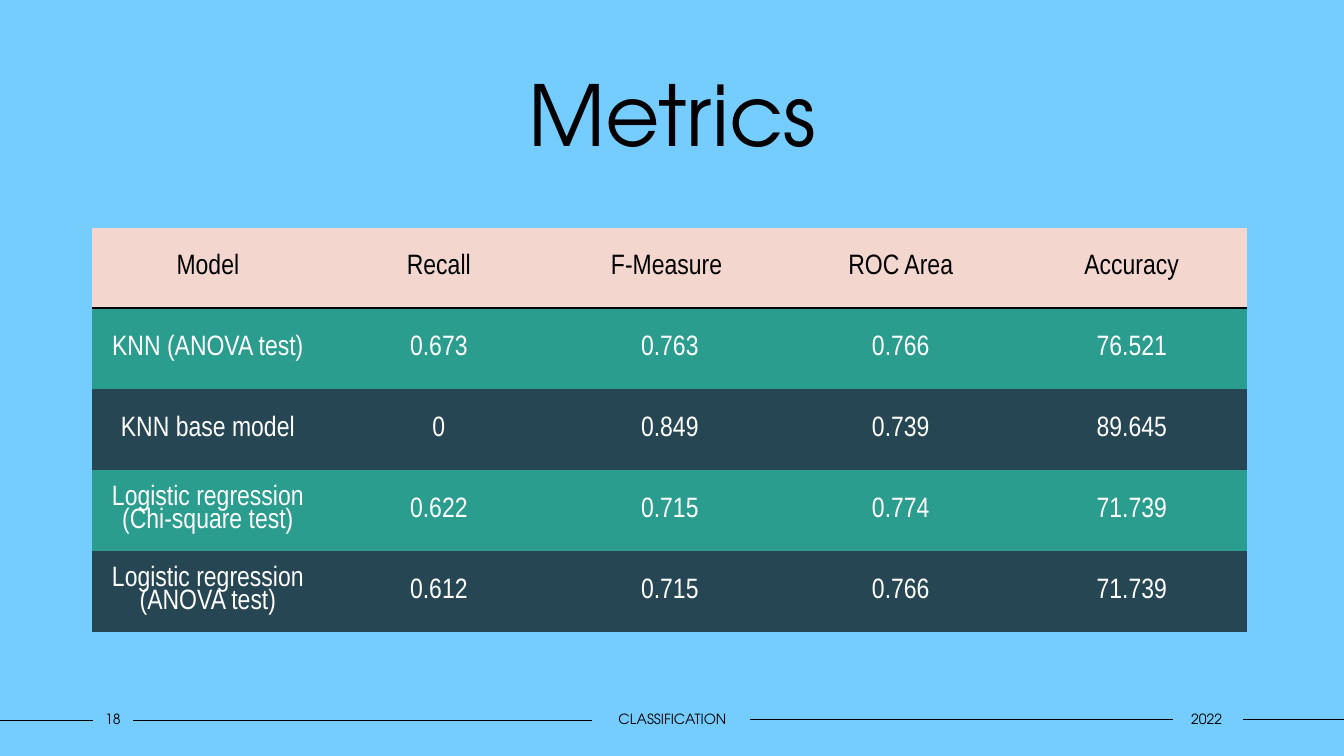
from lxml.etree import SubElement
from pptx import Presentation
from pptx.dml.color import RGBColor
from pptx.enum.shapes import MSO_CONNECTOR as Connector
from pptx.enum.text import MSO_ANCHOR as Anchor, PP_ALIGN as Align
from pptx.oxml.ns import qn
from pptx.util import Pt

BLACK, WHITE = "000000", "FFFFFF"
SKY, BLUSH, TEAL, NAVY = "75CDFF", "F3D6CD", "2A9D8F", "264653"
HEADING_FONT, TABLE_FONT = "TeX Gyre Adventor", "Arial Narrow"

METRICS = [
    ["Model", "Recall", "F-Measure ", "ROC Area", "Accuracy"],
    ["KNN (ANOVA test)", "0.673", "0.763", "0.766", "76.521"],
    ["KNN base model", "0", "0.849", "0.739", "89.645"],
    ["Logistic regression (Chi-square test)", "0.622", "0.715", "0.774", "71.739"],
    ["Logistic regression (ANOVA test)", "0.612", "0.715", "0.766", "71.739"],
]
# Footer rules: start x, end x, y
FOOTER_RULES = [(0, 66.24, 514.8), (95.04, 422.64, 514.8),
                (535.68, 838.08, 514.08), (887.76, 960, 514.08)]
# Footer labels: text, left, width
FOOTER_LABELS = [("18", 66.24, 28.8), ("CLASSIFICATION", 422.64, 115.2),
                 ("2022", 836.64, 50.4)]


def color(value):
    return RGBColor.from_string(value)


def write(frame, text, size, font, text_color):
    paragraph = frame.paragraphs[0]
    paragraph.alignment = Align.CENTER
    run = paragraph.add_run()
    run.text = text
    run.font.size = Pt(size)
    run.font.name = font
    run.font.color.rgb = color(text_color)
    return paragraph


def add_label(slide, text, left, top, width, height, size, side_margin=0):
    shape = slide.shapes.add_textbox(Pt(left), Pt(top), Pt(width), Pt(height))
    frame = shape.text_frame
    frame.word_wrap = True
    frame.vertical_anchor = Anchor.MIDDLE
    frame.margin_left = frame.margin_right = Pt(side_margin)
    frame.margin_top = frame.margin_bottom = Pt(3.6)
    write(frame, text, size, HEADING_FONT, BLACK)


def add_rule(slide, start, end, y):
    line = slide.shapes.add_connector(Connector.STRAIGHT, Pt(start), Pt(y), Pt(end), Pt(y))
    line.line.color.rgb = color(BLACK)
    line.line.width = Pt(1)
    SubElement(line._element.spPr, qn("a:effectLst"))


def set_borders(cell, black_side):
    properties = cell._tc.get_or_add_tcPr()
    for side in ("lnL", "lnR", "lnT", "lnB"):
        border = SubElement(properties, qn(f"a:{side}"))
        if side == black_side:
            border.set("w", str(Pt(1.5)))
            fill = SubElement(border, qn("a:solidFill"))
            SubElement(fill, qn("a:srgbClr")).set("val", BLACK)
        else:
            SubElement(border, qn("a:noFill"))


def add_metrics_table(slide, rows, left, top, column_width, row_height):
    columns = len(rows[0])
    table = slide.shapes.add_table(
        len(rows), columns, Pt(left), Pt(top),
        Pt(column_width * columns), Pt(row_height * len(rows))).table
    table.first_row = table.horz_banding = False
    for column in table.columns:
        column.width = Pt(column_width)
    for row_index, values in enumerate(rows):
        table.rows[row_index].height = Pt(row_height)
        is_header = row_index == 0
        band = BLUSH if is_header else (NAVY, TEAL)[row_index % 2]
        for column_index, value in enumerate(values):
            cell = table.cell(row_index, column_index)
            # Only the seam between header and body is drawn
            set_borders(cell, {0: "lnB", 1: "lnT"}.get(row_index))
            cell.fill.solid()
            cell.fill.fore_color.rgb = color(band)
            cell.vertical_anchor = Anchor.MIDDLE
            paragraph = write(cell.text_frame, value, 20, TABLE_FONT,
                              BLACK if is_header else WHITE)
            paragraph.line_spacing = 0.85


def main():
    presentation = Presentation()
    presentation.slide_width, presentation.slide_height = Pt(960), Pt(540)
    slide = presentation.slides.add_slide(presentation.slide_layouts[6])
    slide.background.fill.solid()
    slide.background.fill.fore_color.rgb = color(SKY)

    # Footer rules
    for start, end, y in FOOTER_RULES:
        add_rule(slide, start, end, y)

    # Title and table
    add_label(slide, "Metrics", 90, 40.3, 780.5, 80, 60, side_margin=7.2)
    add_metrics_table(slide, METRICS, 66, 162.5, 165, 57.75)

    # Footer labels
    for text, left, width in FOOTER_LABELS:
        add_label(slide, text, left, 504, width, 19.44, 10)

    presentation.save("out.pptx")


if __name__ == "__main__":
    main()
